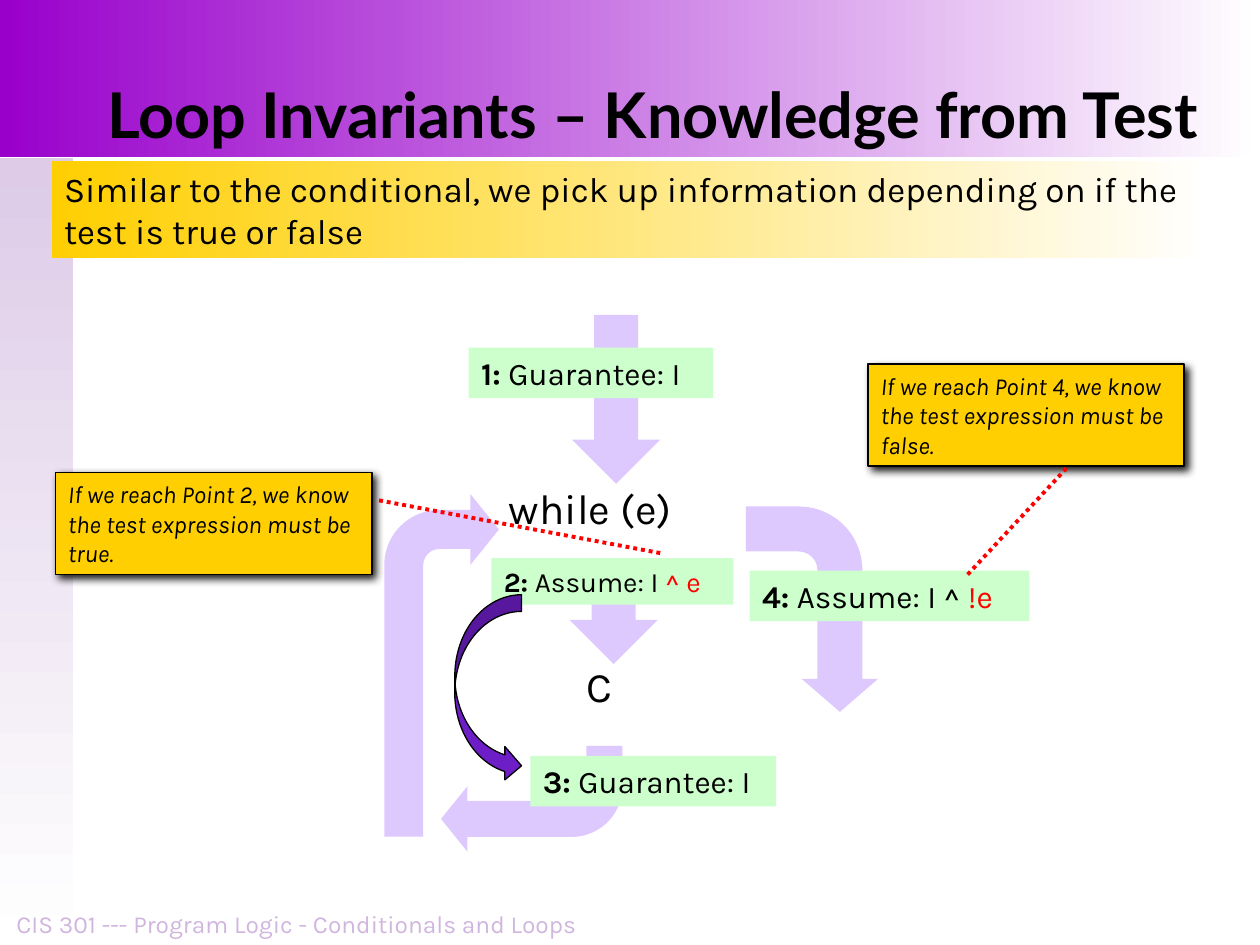
from dataclasses import dataclass

from lxml.etree import SubElement
from pptx import Presentation
from pptx.dml.color import RGBColor
from pptx.enum.dml import MSO_LINE
from pptx.enum.shapes import MSO_CONNECTOR, MSO_SHAPE
from pptx.enum.text import MSO_ANCHOR, PP_ALIGN
from pptx.oxml.ns import qn
from pptx.util import Inches, Pt

BLACK = RGBColor(0x00, 0x00, 0x00)
WHITE = RGBColor(0xFF, 0xFF, 0xFF)
RED = RGBColor(0xFF, 0x00, 0x00)
PURPLE = RGBColor(0x99, 0x00, 0xCC)
PALE_PURPLE = RGBColor(0xDD, 0xCB, 0xE7)
FOOTER_PURPLE = RGBColor(0xD0, 0xB6, 0xDE)
LILAC = RGBColor(0xDE, 0xC9, 0xFF)
VIOLET = RGBColor(0x6E, 0x1E, 0xC6)
GOLD = RGBColor(0xFF, 0xCF, 0x01)
GREEN = RGBColor(0xCC, 0xFF, 0xCC)

COLUMNS, ROWS = 100, 75
SLIDE_WIDTH, SLIDE_HEIGHT = Inches(10), Inches(7.5)
BEND = (0.34, 0.31, 0.25, 0.48)


@dataclass(frozen=True)
class Area:
    """A rectangle in columns and rows of the slide grid."""
    column: float
    row: float
    columns: float
    rows: float

    def lengths(self) -> tuple:
        return (across(self.column), down(self.row),
                across(self.columns), down(self.rows))


@dataclass(frozen=True)
class Arrow:
    kind: MSO_SHAPE
    area: Area
    adjustments: tuple
    rotation: int = 0
    color: RGBColor = LILAC
    outlined: bool = False


@dataclass(frozen=True)
class Point:
    """A numbered program point with its logical statement."""
    number: int
    area: Area
    statement: str
    learned: str = ""
    size: int = 18


@dataclass(frozen=True)
class Note:
    number: int
    outcome: str
    area: Area
    start: tuple
    end: tuple


ARROWS = (
    Arrow(MSO_SHAPE.DOWN_ARROW, Area(45.2, 44.7, 7, 8), (0.5, 0.5)),
    Arrow(MSO_SHAPE.BENT_ARROW, Area(35, 59.2, 14.4, 8.4), BEND, 180),
    Arrow(MSO_SHAPE.DOWN_ARROW, Area(45.4, 25, 7, 13.4), (0.5, 0.5)),
    Arrow(MSO_SHAPE.BENT_ARROW, Area(30.5, 39.2, 9.1, 27.2), BEND),
    Arrow(MSO_SHAPE.BENT_ARROW, Area(56.3, 43.1, 16.3, 10.5), (0.34, 0.29, 0.25, 0.48), 90),
)
INVARIANT_ARROW = Arrow(MSO_SHAPE.CURVED_RIGHT_ARROW, Area(36.1, 47.2, 5.3, 14.9),
                        (0.25, 0.5, 0.25), color=VIOLET, outlined=True)
POINTS = (
    Point(1, Area(37.2, 27.6, 19.4, 4), " Guarantee: I"),
    Point(2, Area(39, 44.3, 19.2, 3.7), " Assume: I ", "^ e", 16),
    Point(3, Area(42.1, 60, 19.5, 4), " Guarantee: I"),
    Point(4, Area(59.5, 45.3, 22.2, 4), " Assume: I ^", " !e"),
)
NOTES = (
    Note(2, "true", Area(4.4, 37.5, 25.1, 8.1), (52.4, 43.9), (30, 39.7)),
    Note(4, "false", Area(68.9, 28.9, 25.1, 8.1), (76.8, 45.6), (84.7, 37.1)),
)
CODE = (("while (e)", Area(39.4, 37.8, 20.6, 7.1)), ("C", Area(45.6, 51.9, 5.5, 7.1)))


def across(columns: float) -> int:
    return round(SLIDE_WIDTH * columns / COLUMNS)


def down(rows: float) -> int:
    return round(SLIDE_HEIGHT * rows / ROWS)


def add_run(paragraph, text: str, size: int, color: RGBColor = BLACK,
            name: str = "Karla", **styles) -> None:
    run = paragraph.add_run()
    run.text = text
    run.font.color.rgb = color
    for attribute, value in {"name": name, "size": Pt(size), **styles}.items():
        setattr(run.font, attribute, value)


def prepare_text(shape, anchor=MSO_ANCHOR.TOP, alignment=PP_ALIGN.LEFT):
    """Set the frame of a shape and return its first paragraph."""
    frame = shape.text_frame
    for attribute, value in {"word_wrap": True, "vertical_anchor": anchor}.items():
        setattr(frame, attribute, value)
    frame.paragraphs[0].alignment = alignment
    return frame.paragraphs[0]


def add_plain_shape(slide, kind: MSO_SHAPE, area: Area, color: RGBColor, line_width: float = 0):
    shape = slide.shapes.add_shape(kind, *area.lengths())
    shape.shadow.inherit = False
    shape.fill.solid()
    shape.fill.fore_color.rgb = color
    if line_width:
        shape.line.color.rgb = BLACK
        shape.line.width = Pt(line_width)
    else:
        shape.line.fill.background()
    return shape


def add_fading_band(slide, area: Area, color: RGBColor, angle: int = 0):
    band = add_plain_shape(slide, MSO_SHAPE.RECTANGLE, area, color)
    band.fill.gradient()
    band.fill.gradient_angle = angle
    for stop, position, stop_color in zip(band.fill.gradient_stops, (0, 1), (color, WHITE)):
        stop.position = position
        stop.color.rgb = stop_color
    return band


def add_arrow(slide, arrow: Arrow) -> None:
    shape = add_plain_shape(slide, arrow.kind, arrow.area, arrow.color, 0.75 * arrow.outlined)
    shape.rotation = arrow.rotation
    for index, value in enumerate(arrow.adjustments):
        shape.adjustments[index] = value


def add_point(slide, point: Point) -> None:
    shape = add_plain_shape(slide, MSO_SHAPE.RECTANGLE, point.area, GREEN)
    paragraph = prepare_text(shape)
    add_run(paragraph, f"{point.number}:", point.size, bold=True)
    add_run(paragraph, point.statement, point.size)
    if point.learned:
        add_run(paragraph, point.learned, point.size, RED)


def add_drop_shadow(shape) -> None:
    effects = shape._element.spPr.find(qn("a:effectLst"))
    shadow = SubElement(effects, qn("a:outerShdw"), blurRad=str(Pt(5)),
                        dist=str(Pt(2.8)), dir="2700000", algn="ctr", rotWithShape="0")
    SubElement(shadow, qn("a:srgbClr"), val="1C1C1C")


def add_note(slide, note: Note) -> None:
    box = add_plain_shape(slide, MSO_SHAPE.RECTANGLE, note.area, GOLD, 1)
    add_drop_shadow(box)
    add_run(prepare_text(box, MSO_ANCHOR.MIDDLE),
            f"If we reach Point {note.number}, we know the test expression "
            f"must be {note.outcome}.", 14, italic=True)
    (start_column, start_row), (end_column, end_row) = note.start, note.end
    pointer = slide.shapes.add_connector(
        MSO_CONNECTOR.STRAIGHT, across(start_column), down(start_row),
        across(end_column), down(end_row))
    pointer.line.color.rgb = RED
    pointer.line.width = Pt(2.25)
    pointer.line.dash_style = MSO_LINE.ROUND_DOT
    SubElement(pointer._element.spPr, qn("a:effectLst"))


def add_label(slide, text: str, area: Area, size: int, color: RGBColor = BLACK, **layout) -> None:
    box = slide.shapes.add_textbox(*area.lengths())
    add_run(prepare_text(box, **layout), text, size, color)


def add_title(slide, text: str, area: Area) -> None:
    title = slide.shapes.title
    for attribute, value in zip(("left", "top", "width", "height"), area.lengths()):
        setattr(title, attribute, value)
    add_run(prepare_text(title, MSO_ANCHOR.BOTTOM), text, 36, name="Lato", bold=True)
    slide.shapes._spTree.append(title._element)


def main() -> None:
    presentation = Presentation()
    presentation.slide_width, presentation.slide_height = SLIDE_WIDTH, SLIDE_HEIGHT
    slide = presentation.slides.add_slide(presentation.slide_layouts.get_by_name("Title Only"))

    add_fading_band(slide, Area(0, 12.5, 5.8, 62.5), PALE_PURPLE, 270)
    add_fading_band(slide, Area(0, 0, COLUMNS, 12.5), PURPLE)
    add_title(slide, "Loop Invariants – Knowledge from Test", Area(7.5, 0, 89.2, 12.5))
    add_label(slide, "CIS 301 --- Program Logic - Conditionals and Loops",
              Area(0, 71.7, 47.1, 3.3), 14, FOOTER_PURPLE,
              anchor=MSO_ANCHOR.BOTTOM, alignment=PP_ALIGN.CENTER)
    summary = add_fading_band(slide, Area(4.1, 12.8, 91.9, 7.7), GOLD)
    add_run(prepare_text(summary), "Similar to the conditional, we pick up information "
            "depending on if the test is true or false", 20)

    for text, area in CODE:
        add_label(slide, text, area, 24)
    for arrow in ARROWS:
        add_arrow(slide, arrow)
    for point in POINTS:
        add_point(slide, point)
    add_arrow(slide, INVARIANT_ARROW)
    for note in NOTES:
        add_note(slide, note)
    presentation.save("out.pptx")


if __name__ == "__main__":
    main()
